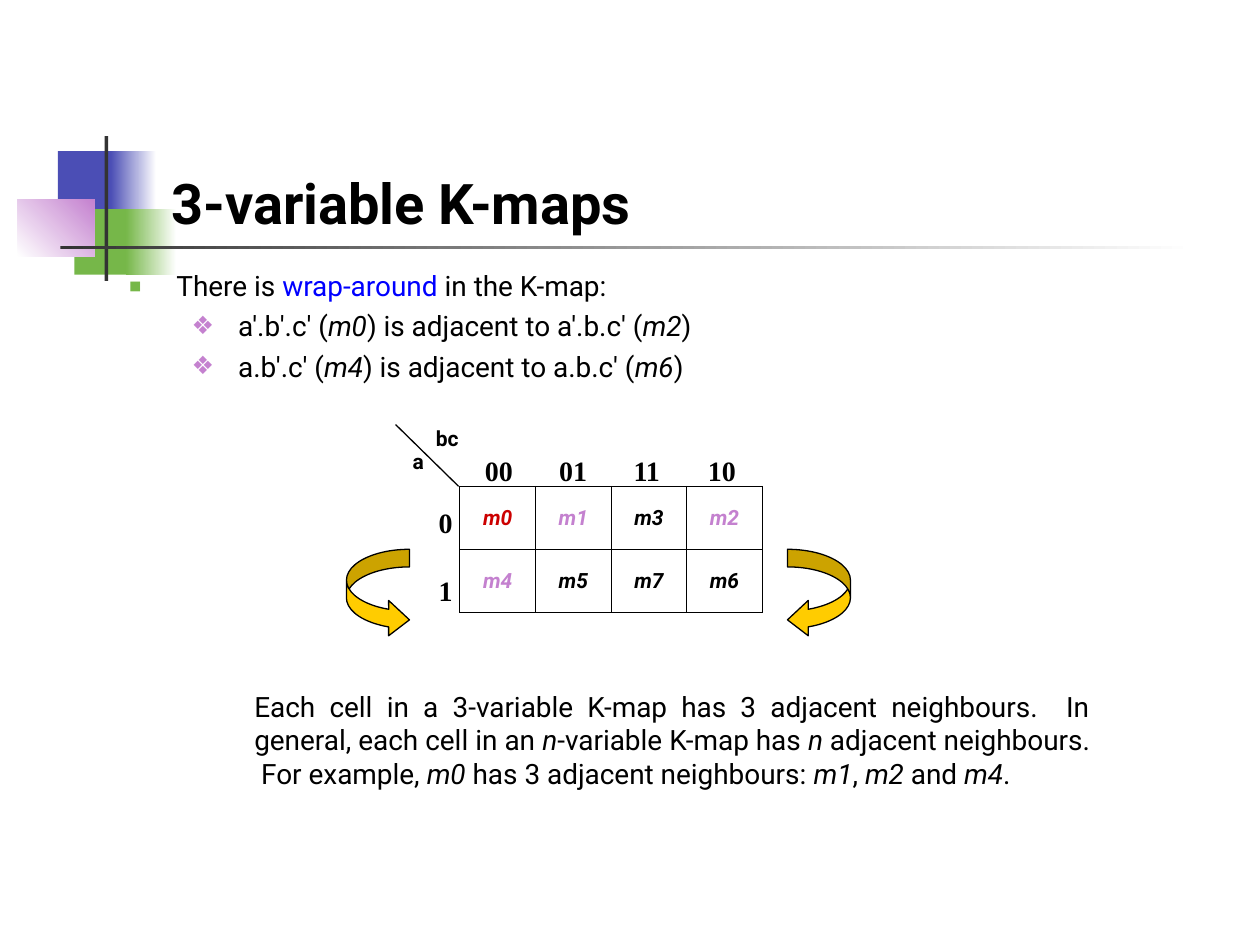
"""Build a slide on wrap-around in 3-variable K-maps."""
from dataclasses import dataclass
from typing import Optional

from lxml import etree
from pptx import Presentation
from pptx.dml.color import RGBColor
from pptx.enum.shapes import MSO_CONNECTOR, MSO_SHAPE
from pptx.enum.text import MSO_ANCHOR, MSO_AUTO_SIZE, PP_ALIGN
from pptx.oxml.ns import qn
from pptx.util import Inches, Pt

RECT = MSO_SHAPE.RECTANGLE
LEFT_TURN, RIGHT_TURN = MSO_SHAPE.CURVED_RIGHT_ARROW, MSO_SHAPE.CURVED_LEFT_ARROW
STRAIGHT = MSO_CONNECTOR.STRAIGHT
LEFT, CENTER, RIGHT, JUSTIFY = PP_ALIGN.LEFT, PP_ALIGN.CENTER, PP_ALIGN.RIGHT, PP_ALIGN.JUSTIFY
BOTTOM, MIDDLE = MSO_ANCHOR.BOTTOM, MSO_ANCHOR.MIDDLE
NO_FIT = MSO_AUTO_SIZE.NONE


@dataclass(frozen=True)
class Theme:
    """Colours, fonts and type sizes."""
    black: str = "000000"
    white: str = "FFFFFF"
    grey: str = "333333"
    indigo: str = "4B4EB5"
    green: str = "76B749"
    mauve: str = "C481CF"
    blue: str = "0000FF"
    red: str = "CC0000"
    gold: str = "FFCC00"
    sans: str = "Roboto"
    serif: str = "Times New Roman"
    title: int = 32
    body: int = 16
    small: int = 12
    stroke: float = 0.75


T = Theme()


@dataclass(frozen=True)
class Block:
    """A plain or fading rectangle of the slide's ornament."""
    left: float
    top: float
    width: float
    height: float
    start: str
    end: Optional[str] = None
    angle: int = 0


@dataclass(frozen=True)
class Bullet:
    """A list mark with its level, colour, size and indents."""
    mark: str
    level: int
    color: str
    scale: int
    margin: float
    hang: float


@dataclass(frozen=True)
class Turn:
    """A curved arrow beside the map."""
    kind: int
    left: float


BLOCKS = [
    Block(0.46, 1.2, 0.48, 0.52, T.indigo),
    Block(0.88, 1.2, 0.36, 0.52, T.indigo, T.white),
    Block(0.59, 1.66, 0.46, 0.52, T.green),
    Block(1, 1.66, 0.4, 0.52, T.green, T.white),
    Block(0.14, 1.58, 0.61, 0.46, T.white, T.mauve, 45),
    Block(0.83, 1.08, 0.03, 1.15, T.grey),
    Block(0.48, 1.95, 9, 0.03, T.grey, T.white),
]
SQUARE = Bullet("▪", 0, T.green, 120, 0.38, 0.38)
DIAMOND = Bullet("❖", 1, T.mauve, 90, 0.87, 0.37)
TURNS = [Turn(LEFT_TURN, 2.75), Turn(RIGHT_TURN, 6.25)]
TERMS = [["m0", "m1", "m3", "m2"], ["m4", "m5", "m7", "m6"]]
TINTS = {"m0": T.red, "m1": T.mauve, "m2": T.mauve, "m4": T.mauve}
MAP_LEFT, MAP_TOP, CELL_WIDTH, CELL_HEIGHT = 3.65, 3.86, 0.6, 0.5


def rgb(code: str) -> RGBColor:
    """Turn a hex code into a colour."""
    return RGBColor.from_string(code)


def write(para, text: str, *, size: float = T.body, font: str = T.sans, color: str = T.black,
          bold: bool = False, align=LEFT) -> None:
    """Add text to a paragraph, with italics between asterisks."""
    para.alignment = align
    for index, part in enumerate(text.split("*")):
        if part:
            run = para.add_run()
            run.text = part
            run.font.size, run.font.name = Pt(size), font
            run.font.bold, run.font.italic = bold, index % 2 == 1
            run.font.color.rgb = rgb(color)


def place(shape, left: float, top: float, width: float, height: float) -> None:
    """Set the place and size of a shape."""
    shape.left, shape.top = Inches(left), Inches(top)
    shape.width, shape.height = Inches(width), Inches(height)


def add_text(slide, left: float, top: float, width: float, height: float, text: str, **style):
    """Add a wrapped text box and return its frame."""
    box = slide.shapes.add_textbox(Inches(left), Inches(top), Inches(width), Inches(height))
    box.text_frame.word_wrap = True
    write(box.text_frame.paragraphs[0], text, **style)
    return box.text_frame


def add_block(slide, block: Block) -> None:
    """Draw one ornament block."""
    shape = slide.shapes.add_shape(RECT, Inches(block.left), Inches(block.top),
                                   Inches(block.width), Inches(block.height))
    shape.shadow.inherit = False
    shape.line.fill.background()
    if block.end is None:
        shape.fill.solid()
        shape.fill.fore_color.rgb = rgb(block.start)
        return
    shape.fill.gradient()
    shape.fill.gradient_angle = block.angle
    for stop, color in zip(shape.fill.gradient_stops, (block.start, block.end)):
        stop.color.rgb = rgb(color)


def add_turn(slide, turn: Turn) -> None:
    """Draw one curved arrow."""
    shape = slide.shapes.add_shape(turn.kind, Inches(turn.left), Inches(4.36), Inches(0.5), Inches(0.7))
    shape.adjustments[0], shape.adjustments[1], shape.adjustments[2] = 0.28, 0.56, 0.33
    shape.shadow.inherit = False
    shape.fill.solid()
    shape.fill.fore_color.rgb = rgb(T.gold)
    shape.line.color.rgb = rgb(T.black)
    shape.line.width = Pt(T.stroke)


def set_bullet(para, bullet: Bullet) -> None:
    """Give a paragraph its list mark and indents."""
    para.level = bullet.level
    para.space_before = Pt(4)
    props = para._p.get_or_add_pPr()
    props.set("marL", str(Inches(bullet.margin)))
    props.set("indent", str(-Inches(bullet.hang)))
    tint = etree.SubElement(props, qn("a:buClr"))
    etree.SubElement(tint, qn("a:srgbClr"), val=bullet.color)
    etree.SubElement(props, qn("a:buSzPct"), val=str(bullet.scale * 1000))
    etree.SubElement(props, qn("a:buFont"), typeface=T.sans)
    etree.SubElement(props, qn("a:buChar"), char=bullet.mark)


def add_map(slide) -> None:
    """Draw the grid of minterms as a table."""
    rows, cols = len(TERMS), len(TERMS[0])
    grid = slide.shapes.add_table(rows, cols, Inches(MAP_LEFT), Inches(MAP_TOP),
                                  Inches(cols * CELL_WIDTH), Inches(rows * CELL_HEIGHT)).table
    grid.first_row = grid.horz_banding = False
    for row, names in enumerate(TERMS):
        for col, name in enumerate(names):
            cell = grid.cell(row, col)
            write(cell.text_frame.paragraphs[0], f"*{name}*", size=T.small, bold=True,
                  color=TINTS.get(name, T.black), align=CENTER)
            cell.vertical_anchor = MIDDLE
            props = cell._tc.get_or_add_tcPr()
            for side in ("lnL", "lnR", "lnT", "lnB"):
                edge = etree.SubElement(props, qn(f"a:{side}"), w=str(Pt(T.stroke)))
                paint = etree.SubElement(edge, qn("a:solidFill"))
                etree.SubElement(paint, qn("a:srgbClr"), val=T.black)
            cell.fill.background()


def add_labels(slide) -> None:
    """Name the rows, columns and variables of the map."""
    style = {"size": T.body, "font": T.serif, "bold": True}
    frame = add_text(slide, 3.35, 3.96, 0.34, 0.85, "0", align=RIGHT, **style)
    para = frame.add_paragraph()
    para.space_before = Pt(20)
    write(para, "1", align=RIGHT, **style)
    frame = add_text(slide, 3.75, 3.55, 2.24, 0.4, "00\t01\t11\t10", **style)
    tabs = etree.SubElement(frame.paragraphs[0]._p.get_or_add_pPr(), qn("a:tabLst"))
    for index in range(1, 4):
        etree.SubElement(tabs, qn("a:tab"), pos=str(Inches(0.59 * index)), algn="l")
    line = slide.shapes.add_connector(STRAIGHT, Inches(3.64), Inches(3.86), Inches(3.14), Inches(3.37))
    line.line.color.rgb = rgb(T.black)
    line.line.width = Pt(T.stroke)
    etree.SubElement(line.element.spPr, qn("a:effectLst"))
    add_text(slide, 3.1, 3.51, 0.44, 0.4, "a", size=T.small, bold=True, align=CENTER)
    add_text(slide, 3.29, 3.33, 0.52, 0.32, "bc", size=T.small, bold=True, align=CENTER)


def fill_text(slide) -> None:
    """Fill the title and the list above the ornament."""
    title, body = slide.shapes.title, slide.placeholders[1]
    place(title, 1.26, 0.67, 8.52, 1.25)
    place(body, 0.92, 2.08, 8.92, 1.09)
    for shape in (title, body):
        slide.shapes.element.append(shape.element)
        shape.text_frame.auto_size = NO_FIT
    title.text_frame.vertical_anchor = BOTTOM
    write(title.text_frame.paragraphs[0], "3-variable K-maps", size=T.title, bold=True)
    para = body.text_frame.paragraphs[0]
    set_bullet(para, SQUARE)
    write(para, "There is ")
    write(para, "wrap-around", color=T.blue)
    write(para, " in the K-map:")
    for text in ("a'.b'.c' (*m0*) is adjacent to a'.b.c' (*m2*)",
                 "a.b'.c' (*m4*) is adjacent to a.b.c' (*m6*)"):
        para = body.text_frame.add_paragraph()
        set_bullet(para, DIAMOND)
        write(para, text)


def main() -> None:
    """Build and save the slide."""
    deck = Presentation()
    deck.slide_width, deck.slide_height = Inches(10), Inches(7.5)
    slide = deck.slides.add_slide(deck.slide_layouts[1])
    for block in BLOCKS:
        add_block(slide, block)
    fill_text(slide)
    add_map(slide)
    add_labels(slide)
    for turn in TURNS:
        add_turn(slide, turn)
    add_text(slide, 1.92, 5.42, 6.83, 1.33,
             "Each cell in a 3-variable K-map has 3 adjacent neighbours.  In general, each cell in an "
             "*n*-variable K-map has *n* adjacent neighbours.  For example, *m0* has 3 adjacent "
             "neighbours: *m1*, *m2* and *m4*.", align=JUSTIFY)
    deck.save("out.pptx")


if __name__ == "__main__":
    main()
